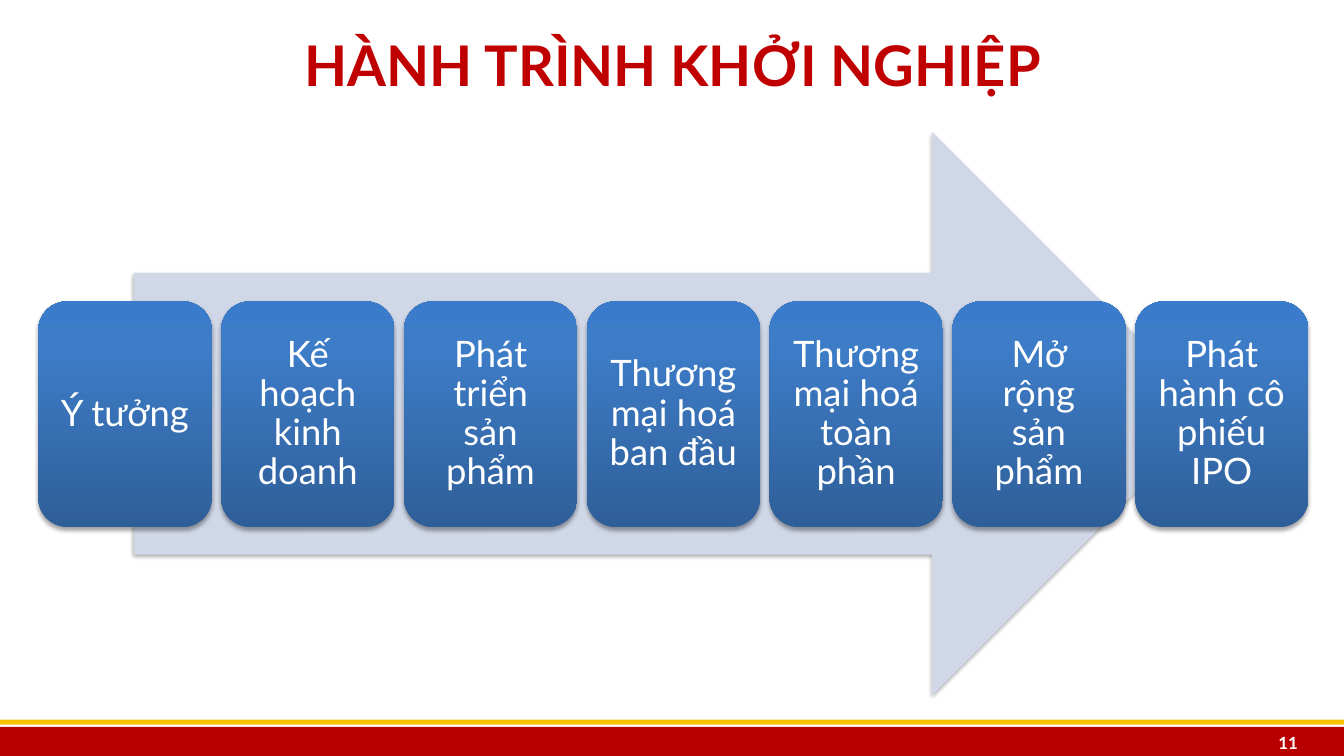
"""Build the start-up journey slide: seven stages on a broad arrow."""
from copy import deepcopy
from dataclasses import dataclass
from typing import Any

from lxml.etree import SubElement
from pptx import Presentation
from pptx.dml.color import RGBColor
from pptx.enum.shapes import MSO_SHAPE as Preset
from pptx.enum.text import MSO_ANCHOR as Anchor, PP_ALIGN as Align
from pptx.oxml.ns import qn
from pptx.util import Inches, Pt

COLORS = {
    "title": "C00000",
    "footer": "B80000",
    "stripe": "FFC000",
    "arrow": "D0D8E8",
    "shadow": "000000",
    "text": "FFFFFF",
    "stage_bottom": "2F5F99",
    "stage_middle": "3D7CC7",
    "stage_top": "3A7CCB",
}
FONT = "Lato"
STAGES = [
    "Ý tưởng",
    "Kế hoạch kinh doanh",
    "Phát triển sản phẩm",
    "Thương mại hoá ban đầu",
    "Thương mại hoá toàn phần",
    "Mở rộng sản phẩm",
    "Phát hành cô phiếu IPO",
]
STAGE_GRADIENT = [(0, "stage_bottom"), (0.8, "stage_middle"), (1, "stage_top")]
STAGE_LEFT, STAGE_TOP, STAGE_PITCH = 0.38, 2.99, 1.813
STAGE_WIDTH, STAGE_HEIGHT = 1.72, 2.24


@dataclass(frozen=True)
class Box:
    """Position and size in inches."""
    left: float
    top: float
    width: float
    height: float

    def lengths(self) -> list[Any]:
        """Return left, top, width and height as lengths."""
        return [Inches(v) for v in (self.left, self.top, self.width, self.height)]


@dataclass(frozen=True)
class TextStyle:
    """Look of a one-paragraph text."""
    size: float
    color: str
    bold: bool = False
    align: Any = Align.CENTER
    inset_x: float = 0.1
    inset_y: float = 0.05
    line_spacing: float = 1.0
    space_after: float = 0


TITLE_STYLE = TextStyle(40, "title", bold=True)
STAGE_STYLE = TextStyle(26, "text", inset_x=0.11, inset_y=0.11,
                        line_spacing=0.9, space_after=9.1)
NUMBER_STYLE = TextStyle(12, "text", bold=True, align=Align.RIGHT, inset_y=0)


def rgb(name: str) -> RGBColor:
    """Look up a named colour."""
    return RGBColor.from_string(COLORS[name])


def set_all(target: Any, values: dict[str, Any]) -> None:
    """Set every attribute given in a dict."""
    for name, value in values.items():
        setattr(target, name, value)


def write(holder: Any, text: str, style: TextStyle) -> None:
    """Put styled text into a shape."""
    frame = holder.text_frame
    frame.text = text
    inset_x, inset_y = Inches(style.inset_x), Inches(style.inset_y)
    set_all(frame, {
        "word_wrap": True, "vertical_anchor": Anchor.MIDDLE,
        "margin_left": inset_x, "margin_right": inset_x,
        "margin_top": inset_y, "margin_bottom": inset_y,
    })
    paragraph = frame.paragraphs[0]
    set_all(paragraph, {
        "alignment": style.align, "line_spacing": style.line_spacing,
        "space_after": Pt(style.space_after),
    })
    font = paragraph.runs[0].font
    set_all(font, {"name": FONT, "size": Pt(style.size), "bold": style.bold})
    font.color.rgb = rgb(style.color)


def add_block(slide: Any, preset: Any, box: Box, color: str) -> Any:
    """Add a flat, borderless shape."""
    block = slide.shapes.add_shape(preset, *box.lengths())
    block.shadow.inherit = False
    block.line.fill.background()
    block.fill.solid()
    block.fill.fore_color.rgb = rgb(color)
    return block


def add_shadow(block: Any) -> None:
    """Give a shape a soft shadow straight below it."""
    effects = block._element.spPr.find(qn("a:effectLst"))
    shadow = SubElement(effects, qn("a:outerShdw"), blurRad=str(Pt(3.1)),
                        dist=str(Pt(1.8)), dir="5400000", rotWithShape="0")
    color = SubElement(shadow, qn("a:srgbClr"), val=COLORS["shadow"])
    SubElement(color, qn("a:alpha"), val="35000")


def add_stage(slide: Any, index: int, label: str) -> None:
    """Add one stage of the journey."""
    box = Box(STAGE_LEFT + index * STAGE_PITCH, STAGE_TOP, STAGE_WIDTH, STAGE_HEIGHT)
    stage = add_block(slide, Preset.ROUNDED_RECTANGLE, box, "stage_middle")
    stage.fill.gradient()
    stage.fill.gradient_angle = 90
    stops = next(stage._element.spPr.iter(qn("a:gsLst")))
    stops.append(deepcopy(stops[-1]))
    for stop, (position, color) in zip(stage.fill.gradient_stops, STAGE_GRADIENT):
        stop.position = position
        stop.color.rgb = rgb(color)
    add_shadow(stage)
    write(stage, label, STAGE_STYLE)


def main() -> None:
    """Build and save the slide."""
    deck = Presentation()
    set_all(deck, {"slide_width": Inches(13.33), "slide_height": Inches(7.5)})
    slide = deck.slides.add_slide(deck.slide_layouts[5])

    title = slide.shapes.title
    title_box = Box(0.37, 0.05, 12.6, 1.18)
    set_all(title, dict(zip(("left", "top", "width", "height"), title_box.lengths())))
    write(title, "HÀNH TRÌNH KHỞI NGHIỆP", TITLE_STYLE)

    add_block(slide, Preset.RECTANGLE, Box(0, 7.21, 13.33, 0.31), "footer")
    add_block(slide, Preset.RECTANGLE, Box(-0.01, 7.14, 13.36, 0.05), "stripe")
    add_shadow(add_block(slide, Preset.RIGHT_ARROW, Box(1.33, 1.31, 10.71, 5.59), "arrow"))
    for index, label in enumerate(STAGES):
        add_stage(slide, index, label)

    page_number = slide.shapes.add_textbox(*Box(12.1, 7.21, 0.87, 0.31).lengths())
    write(page_number, "11", NUMBER_STYLE)
    deck.save("out.pptx")


if __name__ == "__main__":
    main()
